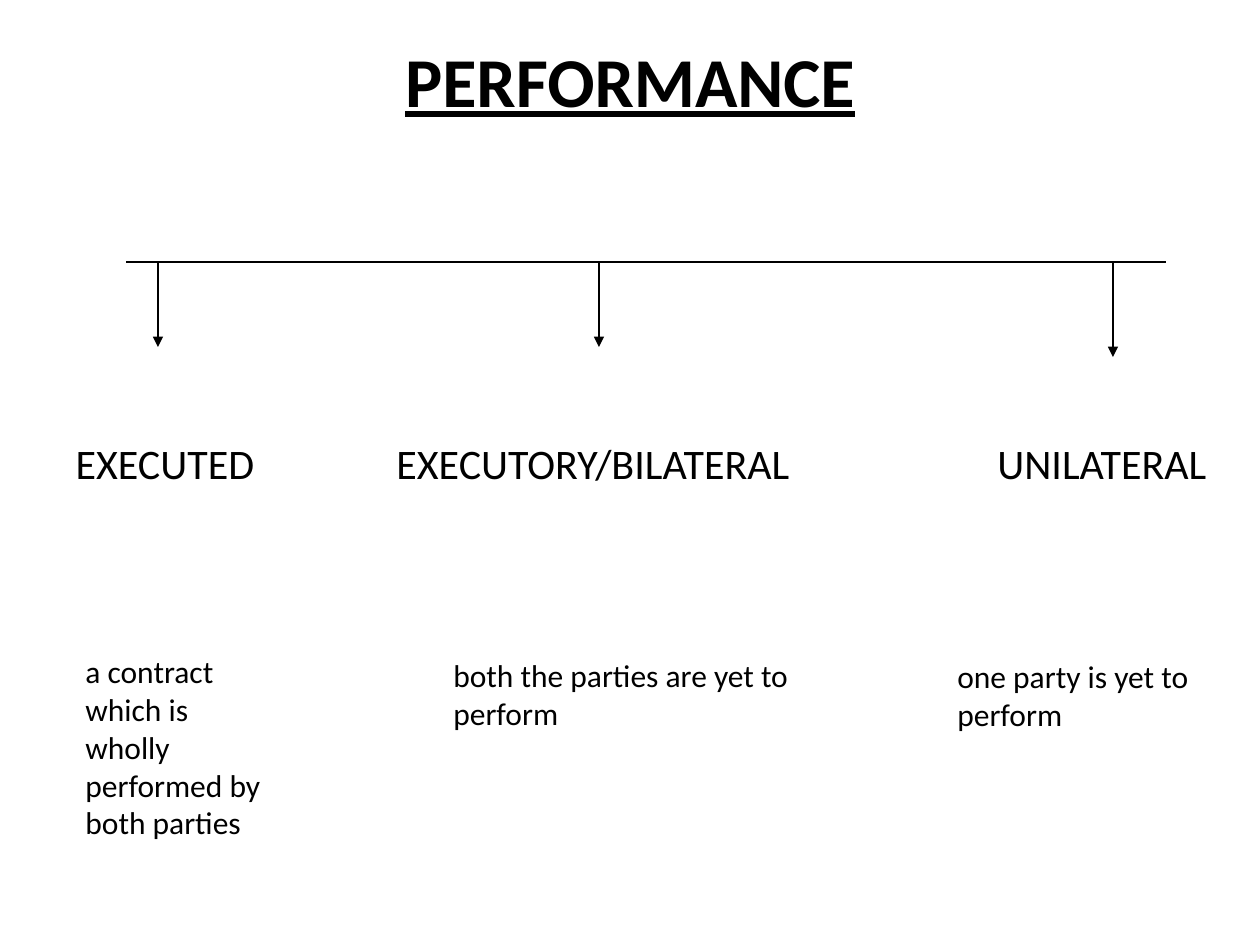
import pptx
import pptx.dml.color
import pptx.enum.shapes
import pptx.enum.text
import pptx.oxml.ns
import pptx.util
from lxml import etree

BLACK = pptx.dml.color.RGBColor(0, 0, 0)
WHITE = pptx.dml.color.RGBColor(255, 255, 255)
FONT = "Calibri"
SCALE = 914400 / 126  # EMU per px

# Content: places are left, top, width, height in px
TITLE = ("PERFORMANCE", (63, 0, 1134, 158))
HEADING_TOP, HEADING_HEIGHT = 431, 70
HEADINGS = [  # text, left, width
    ("EXECUTED", 63, 300),
    ("EXECUTORY/BILATERAL", 384, 560),
    ("UNILATERAL", 985, 270),
]
BAR = (126, 1166, 262)  # left, right, y
ARROWS = [(158, 347), (599, 347), (1113, 357)]  # x, tip y
NOTES = [
    ("a contract which is wholly performed by both parties", (73, 646, 210, 204)),
    ("both the parties are yet to perform", (441, 650, 368, 127)),
    ("one party is yet to perform", (945, 651, 262, 89)),
]


def px(n):
    return pptx.util.Emu(round(n * SCALE))


def place(sp, box):
    sp.left, sp.top, sp.width, sp.height = map(px, box)


def write(sp, text, size, **extra):
    tf = sp.text_frame
    tf.word_wrap = True
    tf.auto_size = pptx.enum.text.MSO_AUTO_SIZE.NONE
    p = tf.paragraphs[0]
    r = p.add_run()
    r.text = text
    style = dict(name=FONT, size=pptx.util.Pt(size), **extra)
    for key, value in style.items():
        setattr(r.font, key, value)
    r.font.color.rgb = BLACK
    return p


def add_child(parent, tag, **attrs):
    return etree.SubElement(parent, pptx.oxml.ns.qn(tag), **attrs)


def add_line(s, x1, y1, x2, y2, arrow=False):
    line = s.shapes.add_connector(
        pptx.enum.shapes.MSO_CONNECTOR.STRAIGHT, px(x1), px(y1), px(x2), px(y2))
    line.line.color.rgb = BLACK
    line.line.width = pptx.util.Pt(0.75)
    if arrow:
        add_child(line.line._get_or_add_ln(), "a:tailEnd", type="triangle")
    add_child(line._element.spPr, "a:effectLst")


prs = pptx.Presentation()
prs.slide_width, prs.slide_height = px(1260), px(945)
s = prs.slides.add_slide(prs.slide_layouts[1])
s.background.fill.solid()
s.background.fill.fore_color.rgb = WHITE

# Title
text, box = TITLE
title = s.shapes.title
place(title, box)
title.text_frame.vertical_anchor = pptx.enum.text.MSO_ANCHOR.MIDDLE
p = write(title, text, 40, bold=True, underline=True)
p.alignment = pptx.enum.text.PP_ALIGN.CENTER

# Column headings: the body placeholder holds the first
for i, (text, left, width) in enumerate(HEADINGS):
    sp = s.shapes.add_textbox(0, 0, 0, 0) if i else s.placeholders[1]
    place(sp, (left, HEADING_TOP, width, HEADING_HEIGHT))
    p = write(sp, text, 24)
    pPr = p._p.get_or_add_pPr()
    pPr.set("marL", "0")
    pPr.set("indent", "0")
    add_child(pPr, "a:buNone")
    p.space_before = pptx.util.Pt(0)

# Branching bar and arrows
left, right, y = BAR
add_line(s, left, y, right, y)
for x, tip in ARROWS:
    add_line(s, x, y, x, tip, arrow=True)

# Explanations
for text, box in NOTES:
    write(s.shapes.add_textbox(*map(px, box)), text, 18)

prs.save("out.pptx")
